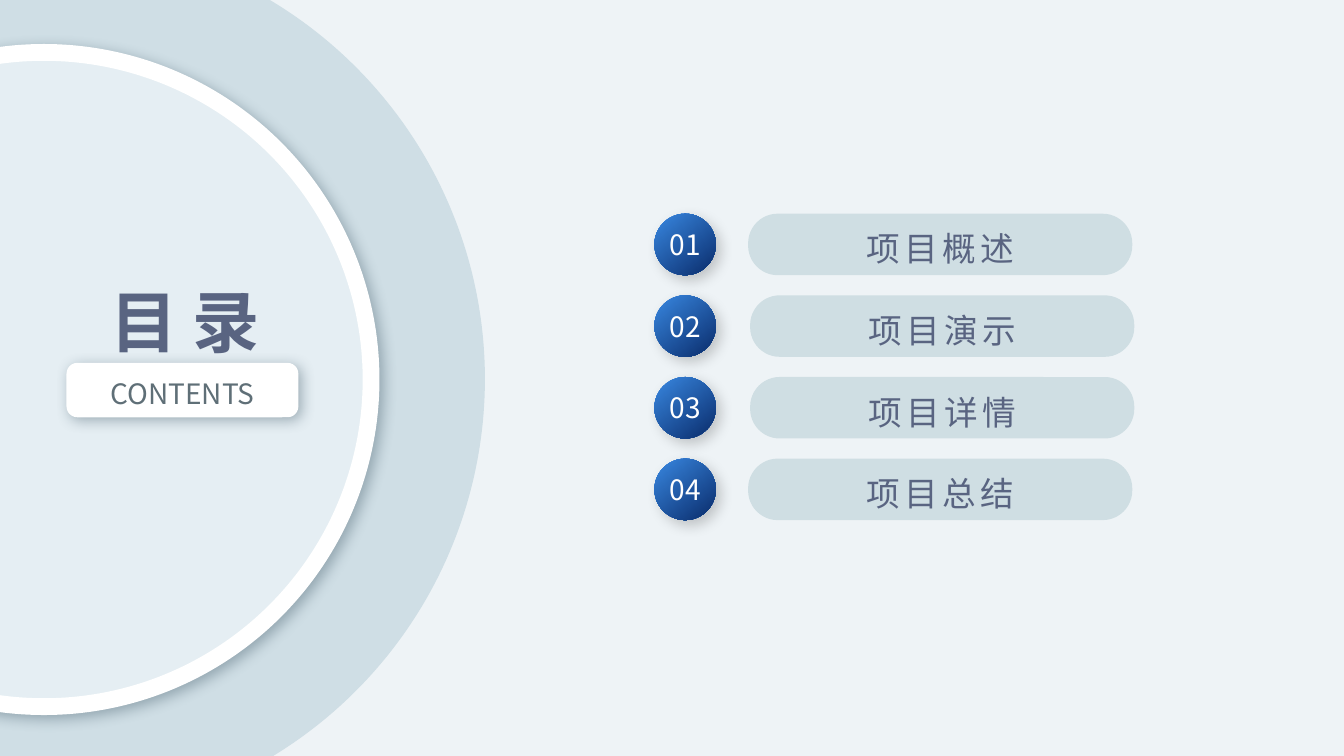
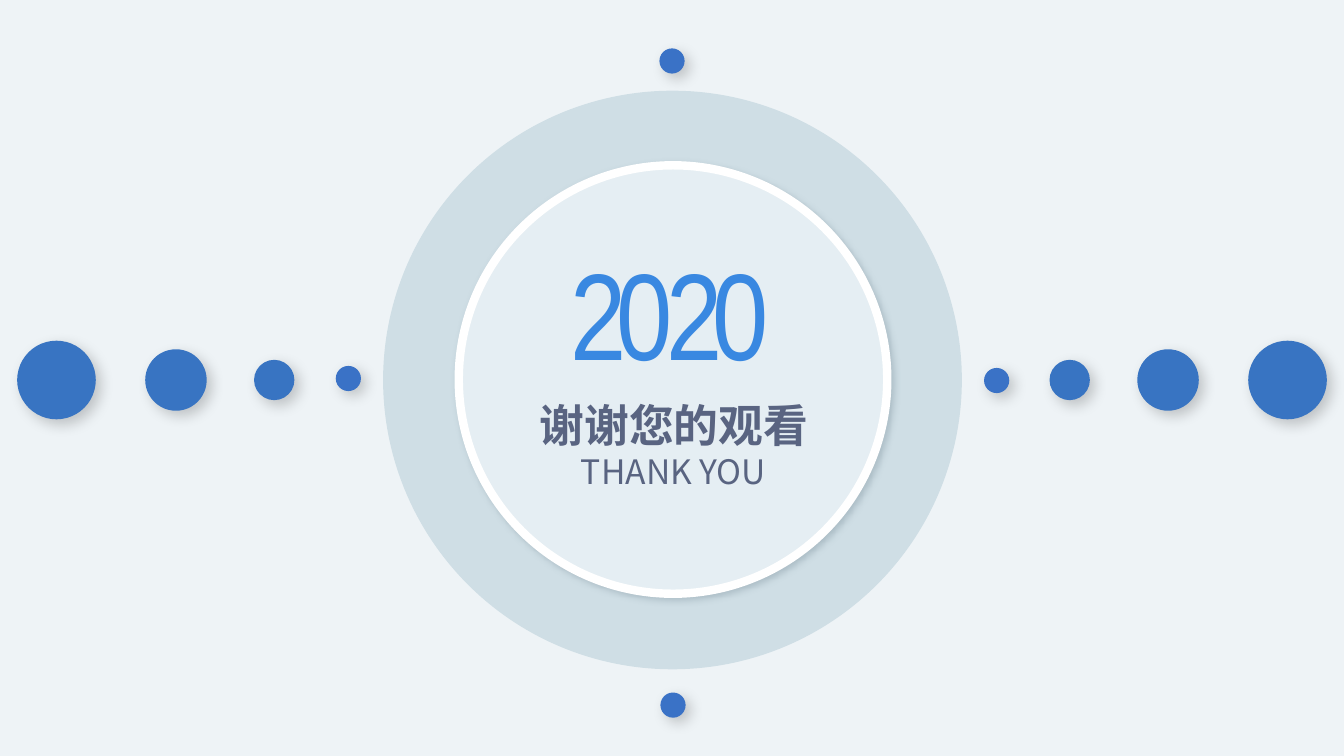
from lxml import etree
from pptx import Presentation
from pptx import util as u
from pptx.dml.color import RGBColor
from pptx.enum import shapes, text
from pptx.oxml.ns import qn

# Shared look
PAGE = RGBColor(0xEE, 0xF3, 0xF6)
HALO = RGBColor(0xCF, 0xDE, 0xE5)
DISC = RGBColor(0xE5, 0xEE, 0xF3)
PILL = RGBColor(0xCF, 0xDE, 0xE3)
WHITE = RGBColor(0xFF, 0xFF, 0xFF)
INK = RGBColor(0x59, 0x64, 0x81)
LABEL = RGBColor(0x5F, 0x6F, 0x77)
BLUE_LIGHT = RGBColor(0x39, 0x88, 0xE1)
BLUE_DARK = RGBColor(0x0A, 0x2C, 0x6B)
DOT = RGBColor(0x38, 0x74, 0xC2)
SMALL_DOT = RGBColor(0x3A, 0x72, 0xC6)
SLATE = RGBColor(0x4A, 0x62, 0x70)
BLACK = RGBColor(0, 0, 0)
SANS = "Noto Sans CJK SC"
NARROW = "Arial Narrow"
WIDTH, HEIGHT = 13.33, 7.5
OVAL = shapes.MSO_SHAPE.OVAL
ROUNDED = shapes.MSO_SHAPE.ROUNDED_RECTANGLE
CENTER = text.PP_ALIGN.CENTER


def blue_gradient(fill, angle):
    fill.gradient()
    fill.gradient_angle = angle
    for stop, color in zip(fill.gradient_stops, (BLUE_LIGHT, BLUE_DARK)):
        stop.color.rgb = color


def add_shadow(shape, color=BLACK, opacity=20, blur=10, distance=5):
    effects = shape._element.spPr.find(qn("a:effectLst"))
    outer = etree.SubElement(
        effects, qn("a:outerShdw"), blurRad=str(u.Pt(blur)),
        dist=str(u.Pt(distance)), dir=str(45 * 60000), algn="ctr", rotWithShape="0")
    tone = etree.SubElement(outer, qn("a:srgbClr"), val=str(color))
    etree.SubElement(tone, qn("a:alpha"), val=str(opacity * 1000))


def add_figure(slide, kind, box, fill=None, corner=None):
    """A flat preset shape; without a fill colour it takes the blue gradient."""
    shape = slide.shapes.add_shape(kind, *map(u.Inches, box))
    shape.shadow.inherit = False
    shape.line.fill.background()
    if fill is None:
        blue_gradient(shape.fill, 310)
    else:
        shape.fill.solid()
        shape.fill.fore_color.rgb = fill
    if corner is not None:
        shape.adjustments[0] = corner
    return shape


def set_text(shape, words, size, color=None, font=SANS, bold=False, align=CENTER,
             line_spacing=None, tracking=None, wrap=True):
    """Write one line of text; without a colour it takes the blue gradient."""
    frame = shape.text_frame
    frame.text = words
    frame.word_wrap = wrap
    paragraph = frame.paragraphs[0]
    paragraph.alignment = align
    if line_spacing:
        paragraph.line_spacing = line_spacing
    run = paragraph.runs[0]
    run.font.size = u.Pt(size)
    run.font.bold = bold
    run.font.name = font
    if color is None:
        blue_gradient(run.font.fill, 0)
    else:
        run.font.color.rgb = color
    properties = run.font._element
    etree.SubElement(properties, qn("a:ea"), typeface=font)
    if tracking:
        properties.set("spc", str(tracking * 100))


def add_label(slide, box, words, size, color=None, wrap=False, **style):
    label = slide.shapes.add_textbox(*map(u.Inches, box))
    set_text(label, words, size, color, wrap=wrap, **style)
    label.text_frame.auto_size = text.MSO_AUTO_SIZE.SHAPE_TO_FIT_TEXT
    return label


def add_dot(slide, left, top, size, color=DOT):
    add_shadow(add_figure(slide, OVAL, (left, top, size, size), color))


def add_medallion(slide, halo, disc, rim, **shadow):
    """Wide pale circle with a white-rimmed disc on it."""
    add_figure(slide, OVAL, halo, HALO)
    plate = add_figure(slide, OVAL, disc, DISC)
    plate.line.color.rgb = WHITE
    plate.line.width = u.Pt(rim)
    add_shadow(plate, SLATE, **shadow)


def build_contents(slide):
    add_medallion(slide, (-3.95, -0.62, 8.76, 8.76), (-2.81, 0.52, 6.49, 6.49),
                  rim=12, opacity=45, blur=10, distance=4)

    # Heading
    plaque = add_figure(slide, ROUNDED, (0.66, 3.6, 2.3, 0.54), WHITE, 0.2)
    add_shadow(plaque, SLATE, opacity=45, distance=3)
    set_text(plaque, "CONTENTS", 20, LABEL, line_spacing=1.2)
    add_label(slide, (0.96, 2.73, 1.75, 0.91), "目 录", 48, INK, bold=True)

    # Numbered chapters
    chapters = [("项目概述", 7.42), ("项目演示", 7.44),
                ("项目详情", 7.44), ("项目总结", 7.42)]
    for index, (chapter, left) in enumerate(chapters):
        top = 2.12 + 0.81 * index
        badge = add_figure(slide, OVAL, (6.49, top, 0.61, 0.61))
        add_shadow(badge)
        set_text(badge, f"{index + 1:02}", 20, WHITE, wrap=False)
        pill = add_figure(slide, ROUNDED, (left, top, 3.81, 0.61), PILL, 0.48)
        set_text(pill, chapter, 24, INK, line_spacing=1.2, tracking=3)


def build_thanks(slide):
    add_medallion(slide, (3.8, 0.9, 5.74, 5.74), (4.55, 1.64, 4.25, 4.25),
                  rim=6, opacity=25, blur=5, distance=2)

    # Year, digits set tightly
    for digit, left, width in zip("2020", (5.56, 6.02, 6.51, 6.97), (0.82, 0.86) * 2):
        add_label(slide, (left, 2.31, width, 1.58), digit, 88,
                  font=NARROW, align=text.PP_ALIGN.LEFT)

    # Closing words
    add_label(slide, (5.2, 3.9, 2.97, 0.64), "谢谢您的观看", 32, INK, bold=True)
    thanks = add_label(slide, (3.59, 4.47, 6.18, 0.4), "THANK YOU", 24, INK, wrap=True)
    frame = thanks.text_frame
    frame.margin_left = frame.margin_right = frame.margin_top = frame.margin_bottom = 0

    # Dots growing outwards, mirrored left and right
    for left, size in ((10.41, 0.4), (11.28, 0.61), (12.38, 0.78)):
        top = 3.77 - size / 2
        add_dot(slide, left, top, size)
        add_dot(slide, WIDTH - left - size, top, size)

    # Small dots around the medallion
    for left, top in ((6.54, 0.48), (6.55, 6.87), (3.33, 3.63), (9.76, 3.65)):
        add_dot(slide, left, top, 0.25, SMALL_DOT)


def main():
    deck = Presentation()
    deck.slide_width, deck.slide_height = u.Inches(WIDTH), u.Inches(HEIGHT)
    backdrop = deck.slide_master.background.fill
    backdrop.solid()
    backdrop.fore_color.rgb = PAGE
    for build in (build_contents, build_thanks):
        build(deck.slides.add_slide(deck.slide_layouts[6]))
    deck.save("out.pptx")


if __name__ == "__main__":
    main()
